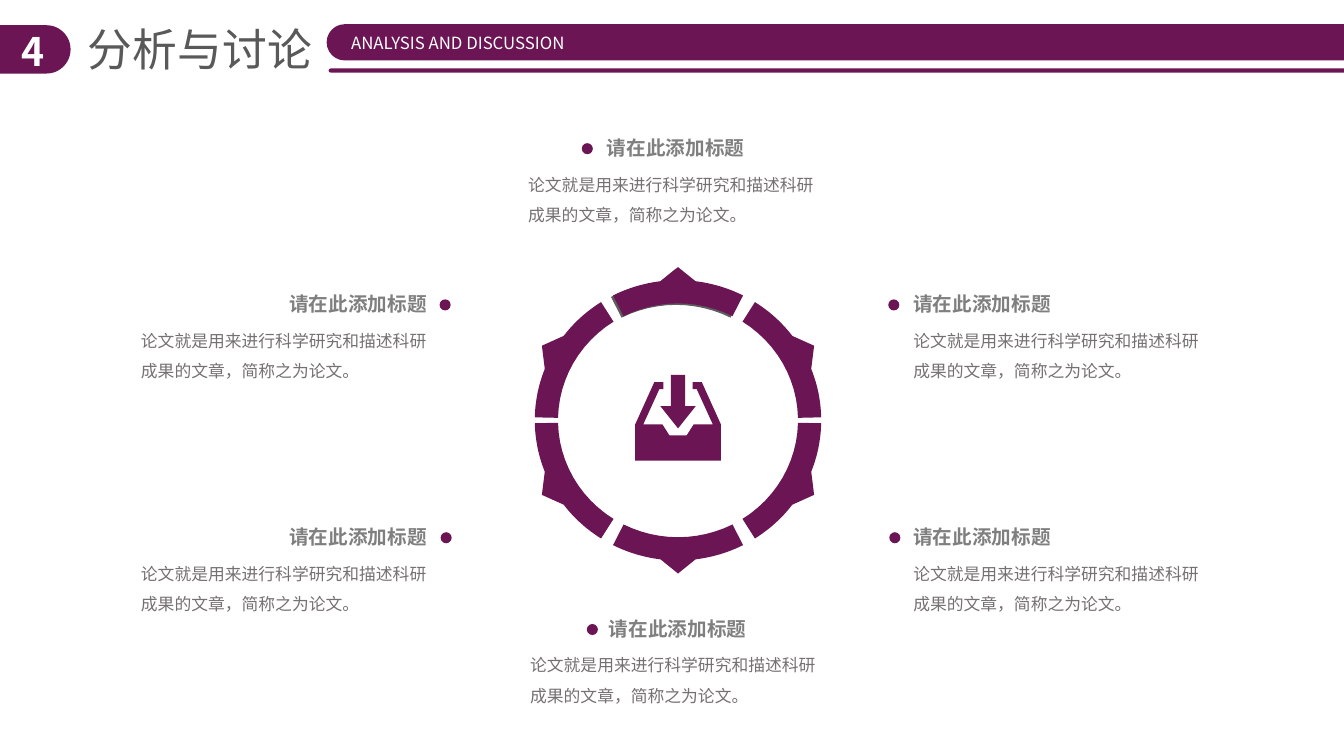
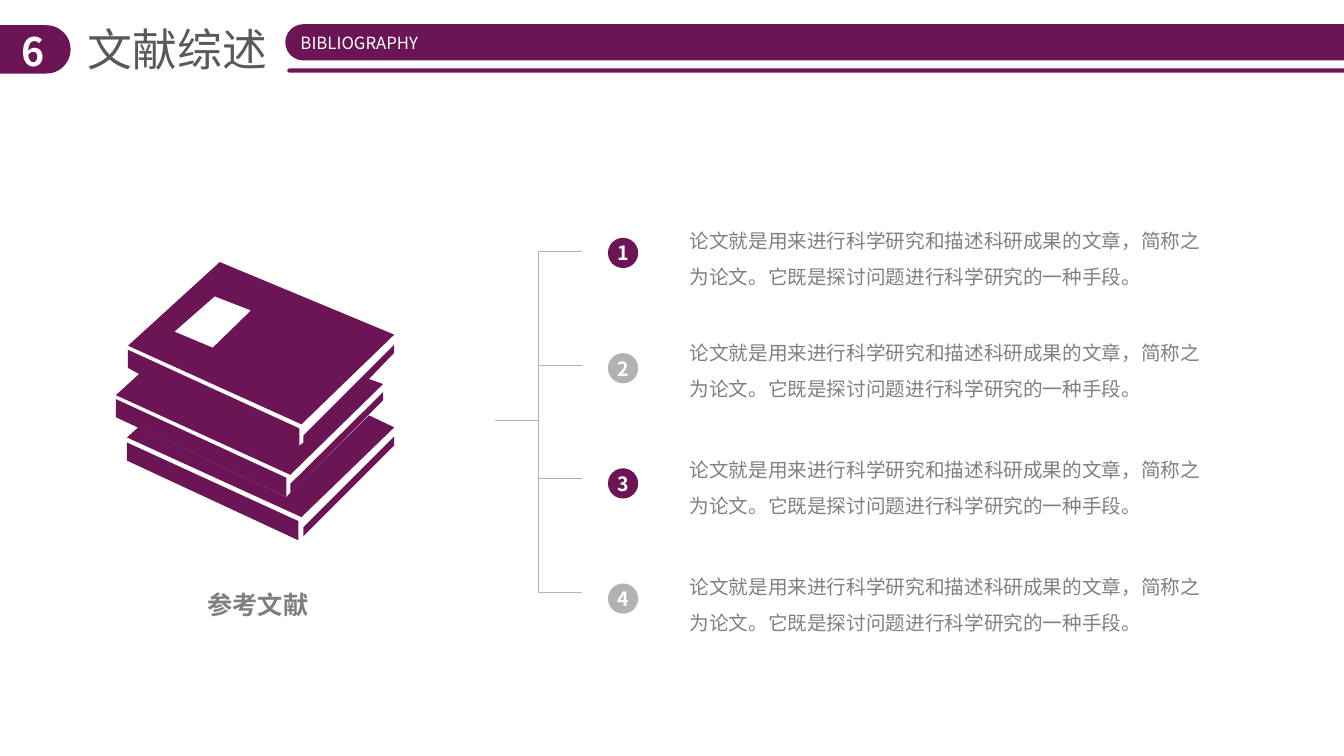
from math import cos, radians, sin

from lxml import etree
from pptx import Presentation
from pptx.dml.color import RGBColor
from pptx.enum import shapes, text
from pptx.oxml import ns
from pptx.util import Inches, Pt

FONT = "Noto Sans CJK SC"
COLORS = {
    "plum": "6B1554",
    "shade": "5D5D5D",
    "title": "595959",
    "heading": "7F7F7F",
    "body": "767171",
    "reference": "808080",
    "silver": "B2B2B2",
    "white": "FFFFFF",
}
ROUND = shapes.MSO_SHAPE.ROUNDED_RECTANGLE
OVAL = shapes.MSO_SHAPE.OVAL
LEFT, CENTER = text.PP_ALIGN.LEFT, text.PP_ALIGN.CENTER


def write(shape, content, size, color, bold=False, wrap=False, align=LEFT, spacing=1.0):
    """Put one styled paragraph into a shape, in Latin and East Asian font alike."""
    frame = shape.text_frame
    frame.text = content
    frame.word_wrap = wrap
    frame.auto_size = text.MSO_AUTO_SIZE.NONE
    paragraph = frame.paragraphs[0]
    paragraph.alignment = align
    paragraph.line_spacing = spacing
    run = paragraph.runs[0]
    run.font.size = Pt(size)
    run.font.bold = bold
    run.font.color.rgb = RGBColor.from_string(COLORS[color])
    run.font.name = FONT
    etree.SubElement(run._r.get_or_add_rPr(), ns.qn("a:ea"), typeface=FONT)


def add_block(slide, kind, left, top, width, height, color):
    """Add a flat preset shape without outline, its text centred vertically."""
    shape = slide.shapes.add_shape(kind, Inches(left), Inches(top), Inches(width), Inches(height))
    shape.shadow.inherit = False
    shape.fill.solid()
    shape.fill.fore_color.rgb = RGBColor.from_string(COLORS[color])
    shape.line.fill.background()
    if kind == ROUND:
        shape.adjustments[0] = 0.5
    frame = shape.text_frame
    frame.margin_left = frame.margin_right = frame.margin_top = frame.margin_bottom = 0
    frame.vertical_anchor = text.MSO_ANCHOR.MIDDLE
    return shape


presentation = Presentation()
presentation.slide_width = Inches(13.33)
presentation.slide_height = Inches(7.5)

# Header: number, title, title width, band left, label, label indent
headers = [
    ("4", "分析与讨论", 2.45, 3.24, "ANALYSIS AND DISCUSSION", 0.19),
    ("6", "文献综述", 2.0, 2.83, "BIBLIOGRAPHY", 0.1),
]
for number, title, title_width, band_left, label, indent in headers:
    slide = presentation.slides.add_slide(presentation.slide_layouts[5])
    heading = slide.shapes.title
    heading.left, heading.top = Inches(0.77), Inches(0.16)
    heading.width, heading.height = Inches(title_width), Inches(0.64)
    write(heading, title, 32, "title")

    tab = add_block(slide, ROUND, -0.28, 0.25, 0.98, 0.48, "plum")
    tab.text_frame.margin_left = Inches(0.23)
    tab.text_frame.margin_top = Inches(0.03)
    write(tab, number, 28, "white", bold=True, align=CENTER)

    band_width = 13.6 - band_left
    band = add_block(slide, ROUND, band_left, 0.24, band_width, 0.36, "plum")
    band.text_frame.margin_left = Inches(indent)
    write(band, label, 12, "white")
    add_block(slide, ROUND, band_left + 0.02, 0.68, band_width, 0.04, "plum")

discussion, bibliography = presentation.slides
outlines = []  # slide, colour, contours in inches

# Ring: angles run clockwise from the top, the tip is an offset from the centre
CENTER_X, CENTER_Y = 6.725, 4.17
OUTER, INNER = (1.42, 1.39), (1.19, 1.16)
STEPS = 12
segments = [
    (-27, -7, (0, 1.52), 7, 27, [(1, 1), (1, -1)]),
    (32.5, 53, (1.35, 0.74), 68.5, 88.8, [(1, 1), (1, -1), (-1, -1), (-1, 1)]),
]
for start, rise, tip, fall, end, mirrors in segments:
    outline = []
    for (radius_x, radius_y), first, last in [(OUTER, start, rise), (OUTER, fall, end), (INNER, end, start)]:
        for step in range(STEPS + 1):
            angle = radians(first + (last - first) * step / STEPS)
            outline.append((radius_x * sin(angle), radius_y * cos(angle)))
        if last == rise:
            outline.append(tip)
    for side, up in mirrors:
        ring_part = [(CENTER_X + side * x, CENTER_Y - up * y) for x, y in outline]
        if (start, up) == (-27, 1):
            edge = [(x - 0.02, y + 0.015) for x, y in ring_part]
            outlines.append((discussion, "shade", [edge]))
        outlines.append((discussion, "plum", [ring_part]))

# Inbox icon: right halves, mirrored about the ring's centre
arrow = [(0.07, 3.72), (0.07, 4.03), (0.175, 4.03), (0, 4.25)]
tray = [(0.425, 4.57), (0.425, 4.21), (0.235, 3.79), (0.145, 3.79), (0.145, 3.86),
        (0.185, 3.86), (0.345, 4.21), (0.155, 4.21), (0.085, 4.32)]
for half in (arrow, tray):
    icon_part = [(CENTER_X + x, y) for x, y in half] + [(CENTER_X - x, y) for x, y in reversed(half)]
    outlines.append((discussion, "plum", [icon_part]))

# Topics around the ring: heading left, heading top, body left, dot left
topics = [
    (5.92, 1.3, 5.14, 5.77),
    (8.96, 2.85, 8.96, 8.81),
    (8.96, 5.16, 8.96, 8.82),
    (5.94, 6.07, 5.16, 5.82),
    (2.77, 5.16, 1.3, 4.37),
    (2.77, 2.85, 1.3, 4.36),
]
for left, top, body_left, dot_left in topics:
    heading = discussion.shapes.add_textbox(Inches(left), Inches(top), Inches(1.58), Inches(0.34))
    write(heading, "请在此添加标题", 14, "heading", bold=True)
    body = discussion.shapes.add_textbox(Inches(body_left), Inches(top + 0.28), Inches(3.13), Inches(0.67))
    write(body, "论文就是用来进行科学研究和描述科研成果的文章，简称之为论文。", 12, "body", wrap=True, spacing=1.5)
    add_block(discussion, OVAL, dot_left, top + 0.12, 0.11, 0.11, "plum")

# Stack of books, from the bottom up
books = [
    [[(1.26, 4.57), (2.96, 5.36), (2.96, 5.17), (1.26, 4.39)]],
    [[(3.01, 5.32), (3.91, 4.42), (3.91, 4.33), (3.01, 5.23)]],
    [[(1.15, 3.96), (1.15, 4.14), (2.84, 4.93), (2.84, 4.74)]],
    [[(2.88, 4.71), (3.8, 3.81), (3.66, 3.76), (3.91, 3.5), (3.91, 3.42), (3.01, 4.32), (3.01, 4.39),
      (2.97, 4.42), (2.97, 4.25), (1.27, 3.47), (1.27, 3.65), (1.38, 3.71), (1.15, 3.92)]],
    [[(3.91, 3.32), (2.18, 2.6), (1.27, 3.43), (2.99, 4.21)],
     [(2.11, 3.45), (1.73, 3.29), (2.13, 2.94), (2.49, 3.08)]],
    [[(2.88, 4.89), (3.8, 3.97), (3.8, 3.89), (2.88, 4.8)]],
    [[(3.66, 4.12), (2.88, 4.89), (2.84, 4.93), (1.37, 4.24), (1.26, 4.34), (2.99, 5.13), (3.91, 4.24)]],
]
outlines += [(bibliography, "plum", contours) for contours in books]

caption = bibliography.shapes.add_textbox(Inches(1.96), Inches(5.8), Inches(1.21), Inches(0.4))
write(caption, "参考文献", 18, "heading", bold=True)

# Bracket: one stem, one spine and a branch for each reference
SPINE, BRANCH = 5.34, 0.43
branch_tops = [2.49 + 1.13 * index for index in range(4)]
bracket = [(SPINE, y, SPINE + BRANCH, y) for y in branch_tops]
bracket += [(SPINE, branch_tops[0], SPINE, branch_tops[-1]), (SPINE - BRANCH, 4.17, SPINE, 4.17)]
for ends in bracket:
    line = bibliography.shapes.add_connector(shapes.MSO_CONNECTOR.STRAIGHT, *map(Inches, ends))
    line.line.color.rgb = RGBColor.from_string(COLORS["silver"])
    line.line.width = Pt(0.5)
    etree.SubElement(line._element.spPr, ns.qn("a:effectLst"))

for index, text_top in enumerate([2.11, 3.22, 4.38, 5.54]):
    color = "silver" if index % 2 else "plum"
    badge = add_block(bibliography, OVAL, 6.03, 2.36 + 1.143 * index, 0.3, 0.3, color)
    write(badge, str(index + 1), 14, "white", bold=True, align=CENTER)
    reference = bibliography.shapes.add_textbox(Inches(6.74), Inches(text_top), Inches(5.44), Inches(0.81))
    write(reference, "论文就是用来进行科学研究和描述科研成果的文章，简称之为论文。它既是探讨问题进行科学研究的一种手段。",
          14, "reference", wrap=True, spacing=1.5)

for slide, color, contours in outlines:
    contours = [[(Inches(x), Inches(y)) for x, y in contour] for contour in contours]
    builder = slide.shapes.build_freeform(*contours[0][0])
    builder.add_line_segments(contours[0][1:])
    for contour in contours[1:]:
        builder.move_to(*contour[0])
        builder.add_line_segments(contour[1:])
    shape = builder.convert_to_shape()
    shape.shadow.inherit = False
    shape.fill.solid()
    shape.fill.fore_color.rgb = RGBColor.from_string(COLORS[color])
    shape.line.fill.background()

presentation.save("out.pptx")
